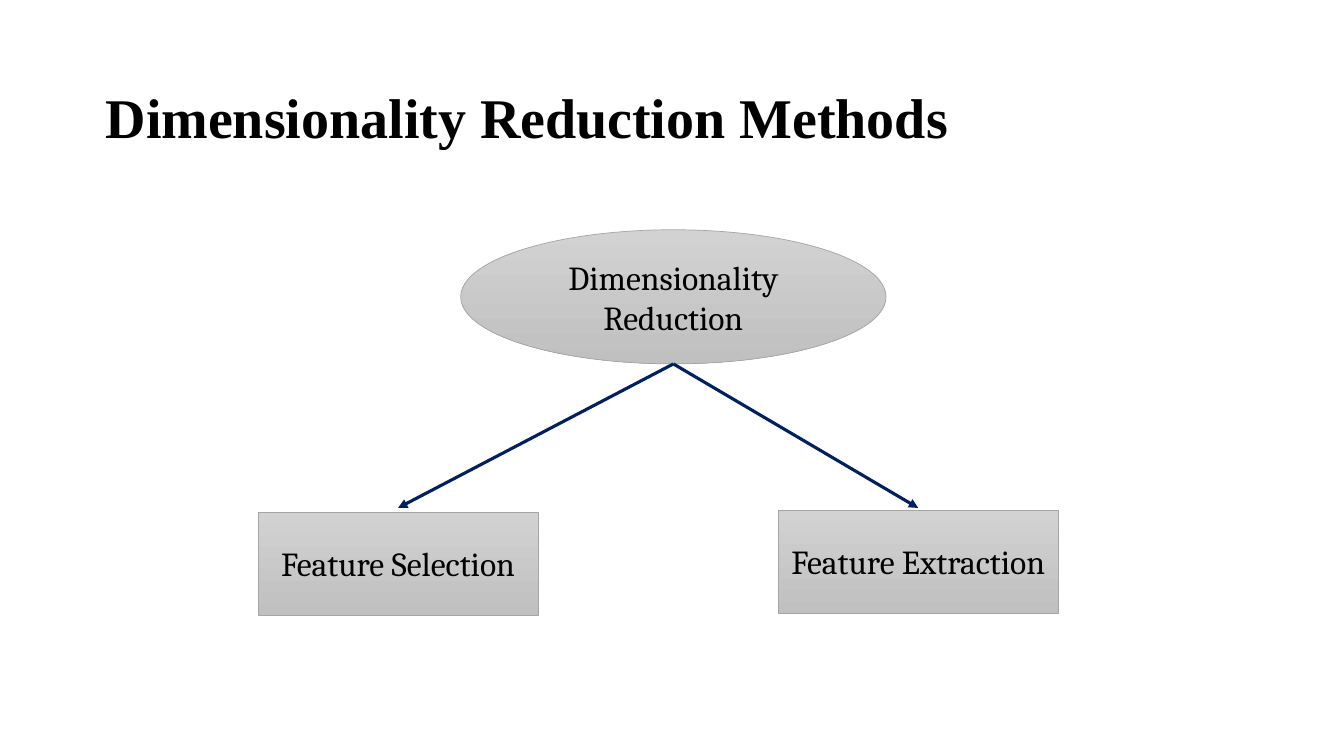
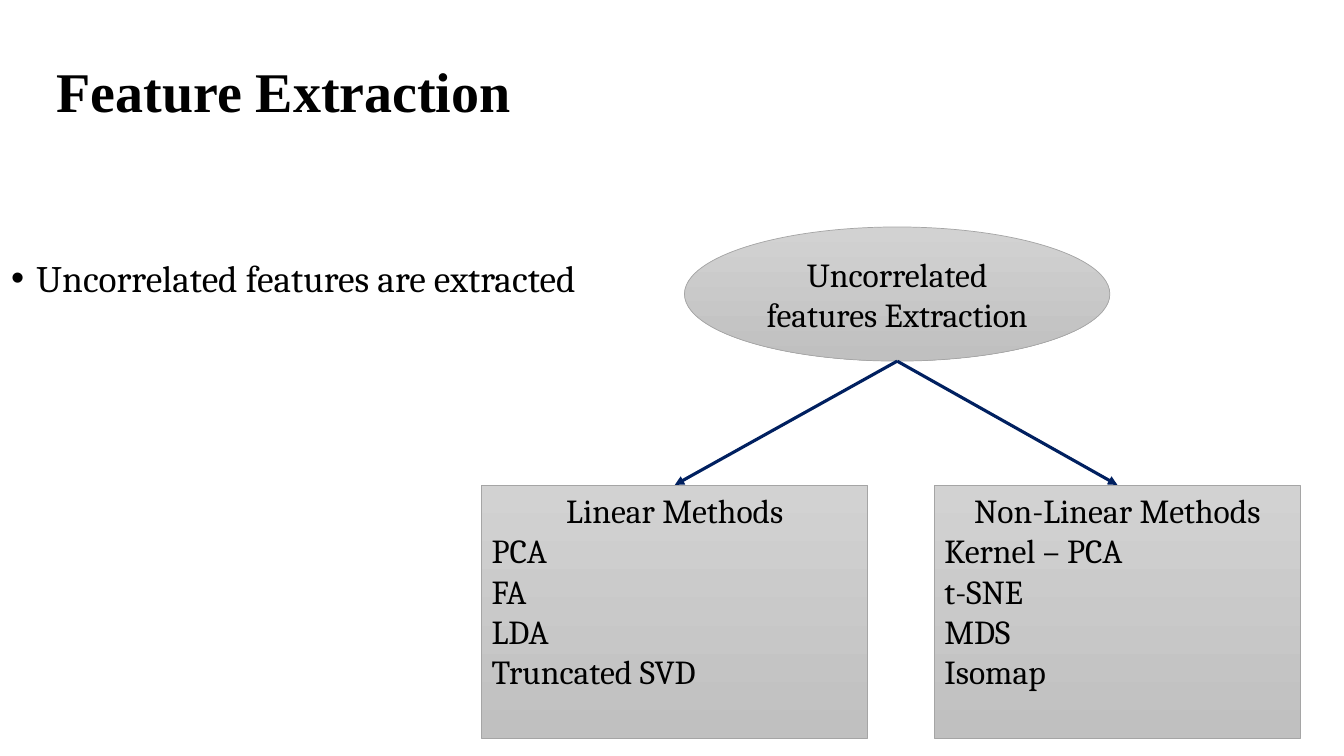
from dataclasses import dataclass

from lxml import etree
from pptx import Presentation
from pptx.dml.color import RGBColor
from pptx.enum import shapes, text
from pptx.oxml.ns import qn
from pptx.shapes.autoshape import Shape
from pptx.slide import Slide
from pptx.util import Cm, Pt

BLACK = RGBColor(0x00, 0x00, 0x00)
NAVY = RGBColor(0x00, 0x20, 0x60)
GREY_LIGHT = RGBColor(0xD2, 0xD2, 0xD2)
GREY_DARK = RGBColor(0xC0, 0xC0, 0xC0)
GREY_OUTLINE = RGBColor(0xA5, 0xA5, 0xA5)
TITLE_FONT = "Times New Roman"
BODY_FONT = "Cambria"
TITLE_ONLY_LAYOUT = 5


@dataclass(frozen=True)
class Frame:
    left: float
    top: float
    width: float
    height: float

    @property
    def center(self) -> float:
        return self.left + self.width / 2

    @property
    def bottom(self) -> float:
        return self.top + self.height

    def lengths(self) -> tuple[Cm, Cm, Cm, Cm]:
        return Cm(self.left), Cm(self.top), Cm(self.width), Cm(self.height)


@dataclass(frozen=True)
class Branch:
    frame: Frame
    heading: str
    methods: tuple[str, ...] = ()


@dataclass(frozen=True)
class Tree:
    title: str
    title_frame: Frame
    root: str
    root_frame: Frame
    arrow_end: float
    branches: tuple[Branch, ...]
    bullet: str = ""


TREES = (
    Tree(
        "Dimensionality Reduction Methods",
        Frame(2.41, 1.85, 29.49, 2.36),
        "Dimensionality Reduction",
        Frame(11.61, 5.79, 10.72, 3.38),
        12.8,
        (
            Branch(Frame(6.5, 12.9, 7.06, 2.6), "Feature Selection"),
            Branch(Frame(19.61, 12.85, 7.06, 2.6), "Feature Extraction"),
        ),
    ),
    Tree(
        "Feature Extraction",
        Frame(1.17, 1.27, 30.3, 2.24),
        "Uncorrelated features Extraction",
        Frame(17.25, 5.72, 10.72, 3.38),
        12.22,
        (
            Branch(Frame(12.14, 12.22, 9.73, 6.38), "Linear Methods",
                   ("PCA", "FA", "LDA", "Truncated SVD")),
            Branch(Frame(23.55, 12.22, 9.22, 6.38), "Non-Linear Methods",
                   ("Kernel – PCA", "t-SNE", "MDS", "Isomap")),
        ),
        "Uncorrelated features are extracted",
    ),
)
BULLET_FRAME = Frame(0.03, 6.43, 16.28, 2.18)


def set_font(paragraph, name: str, size: float, bold: bool = False) -> None:
    font = paragraph.font
    font.name, font.size, font.bold = name, Pt(size), bold
    font.color.rgb = BLACK


def add_title(slide: Slide, title: str, frame: Frame) -> None:
    shape = slide.shapes.title
    shape.left, shape.top, shape.width, shape.height = frame.lengths()
    text_frame = shape.text_frame
    text_frame.text = title
    text_frame.auto_size = text.MSO_AUTO_SIZE.NONE
    text_frame.vertical_anchor = text.MSO_ANCHOR.MIDDLE
    paragraph = text_frame.paragraphs[0]
    paragraph.alignment = text.PP_ALIGN.LEFT
    paragraph.line_spacing = 0.9
    set_font(paragraph, TITLE_FONT, 40, bold=True)


def add_bullet(slide: Slide, content: str) -> None:
    text_frame = slide.shapes.add_textbox(*BULLET_FRAME.lengths()).text_frame
    text_frame.word_wrap = True
    text_frame.text = content
    paragraph = text_frame.paragraphs[0]
    paragraph.line_spacing = 0.9
    set_font(paragraph, BODY_FONT, 26.7)
    indent = Cm(0.64)
    properties = paragraph._p.get_or_add_pPr()
    properties.set("marL", str(indent))
    properties.set("indent", str(-indent))
    bullet_font = etree.Element(qn("a:buFont"), typeface="Arial")
    bullet = etree.Element(qn("a:buChar"), char="•")
    default_run = properties.find(qn("a:defRPr"))
    default_run.addprevious(bullet_font)
    default_run.addprevious(bullet)


def add_node(slide: Slide, kind: shapes.MSO_SHAPE, frame: Frame,
             heading: str, methods: tuple[str, ...] = ()) -> Shape:
    shape = slide.shapes.add_shape(kind, *frame.lengths())
    shape.shadow.inherit = False
    shape.fill.gradient()
    shape.fill.gradient_angle = 270
    for stop, color in zip(shape.fill.gradient_stops, (GREY_LIGHT, GREY_DARK)):
        stop.color.rgb = color
    shape.line.color.rgb = GREY_OUTLINE
    shape.line.width = Pt(0.5)
    text_frame = shape.text_frame
    text_frame.text = "\n".join((heading, *methods))
    if methods:
        text_frame.vertical_anchor = text.MSO_ANCHOR.TOP
    for index, paragraph in enumerate(text_frame.paragraphs):
        paragraph.alignment = text.PP_ALIGN.LEFT if index else text.PP_ALIGN.CENTER
        set_font(paragraph, BODY_FONT, 24)
    return shape


def add_arrow(slide: Slide, root: Frame, branch: Frame, end: float) -> None:
    connector = slide.shapes.add_connector(
        shapes.MSO_CONNECTOR.STRAIGHT,
        Cm(root.center), Cm(root.bottom), Cm(branch.center), Cm(end))
    connector.line.color.rgb = NAVY
    connector.line.width = Pt(2.25)
    etree.SubElement(connector.line._get_or_add_ln(), qn("a:tailEnd"), type="triangle")
    etree.SubElement(connector._element.spPr, qn("a:effectLst"))


def add_tree(presentation, tree: Tree) -> None:
    slide = presentation.slides.add_slide(presentation.slide_layouts[TITLE_ONLY_LAYOUT])
    add_title(slide, tree.title, tree.title_frame)
    if tree.bullet:
        add_bullet(slide, tree.bullet)
    add_node(slide, shapes.MSO_SHAPE.OVAL, tree.root_frame, tree.root)
    for branch in tree.branches:
        add_node(slide, shapes.MSO_SHAPE.RECTANGLE, branch.frame,
                 branch.heading, branch.methods)
        add_arrow(slide, tree.root_frame, branch.frame, tree.arrow_end)


def main() -> None:
    presentation = Presentation()
    presentation.slide_width = Cm(33.87)
    presentation.slide_height = Cm(19.05)
    for tree in TREES:
        add_tree(presentation, tree)
    presentation.save("out.pptx")


if __name__ == "__main__":
    main()
